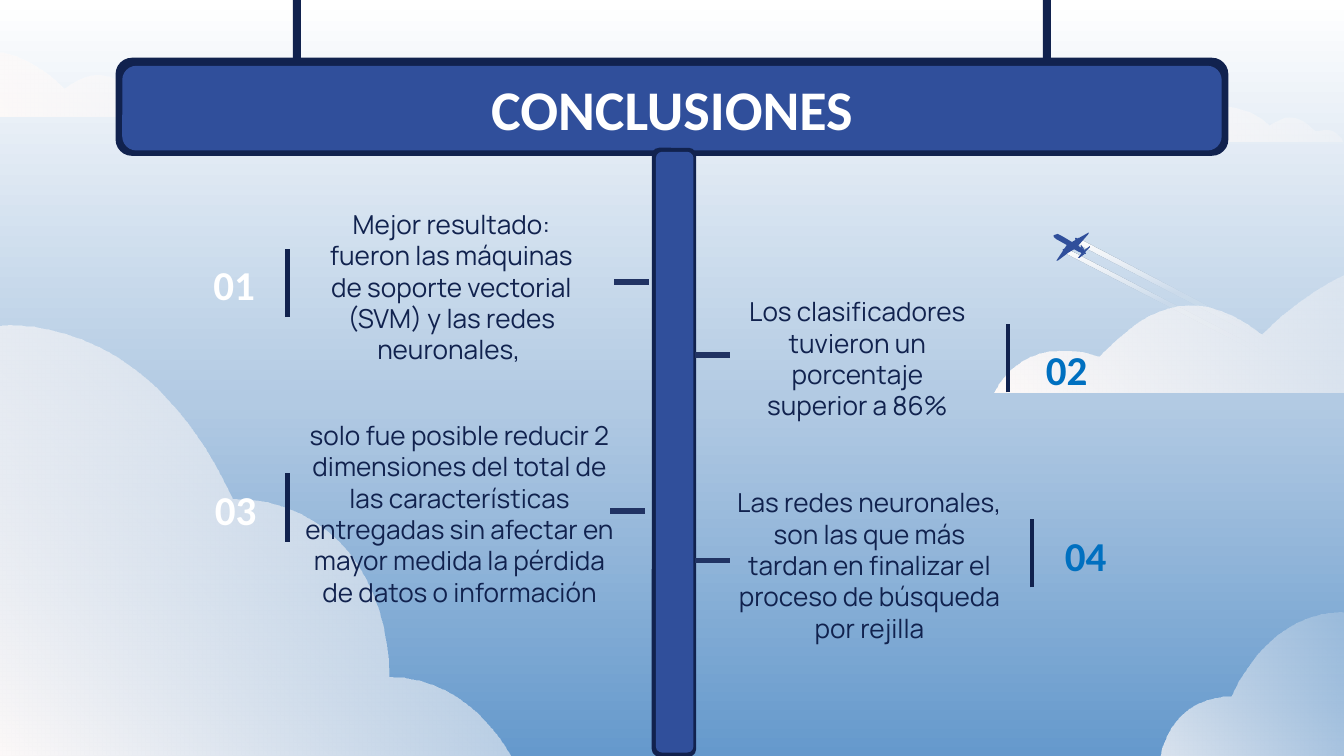
import pptx
import pptx.util
import pptx.dml.color
import pptx.enum.shapes
import pptx.enum.text
import pptx.oxml
import pptx.oxml.ns
import lxml.etree

PX = 9144
RGB = pptx.dml.color.RGBColor
NAVY = RGB(0x11, 0x22, 0x4E)
BLUE = RGB(0x30, 0x4F, 0x9B)
TICK = RGB(0x21, 0x33, 0x63)
SKY = RGB(0x00, 0x70, 0xC0)
SKY_LOW = RGB(0x65, 0x99, 0xCC)
SKY_MIDDLE = RGB(0xB2, 0xCA, 0xE3)
WHITE = RGB(0xFF, 0xFF, 0xFF)
MIST = RGB(0xFE, 0xFA, 0xF9)

SHAPE = pptx.enum.shapes.MSO_SHAPE
ALIGN = pptx.enum.text.PP_ALIGN
ANCHOR = pptx.enum.text.MSO_ANCHOR

SKY_STOPS = [(0, SKY_LOW, 100), (47, SKY_MIDDLE, 100), (100, WHITE, 100)]
CLOUD_STOPS = [(0, MIST, 19), (100, MIST, 100)]
TRAIL_STOPS = [(0, WHITE, 100), (50, MIST, 10), (100, MIST, 0)]

CLOUDS = [
    [(-1, 243), (-1, 243, 106, 226, 173, 371), (248, 371, 289, 433, 289, 503),
     (354, 503, 383, 568, 383, 568), (-1, 568)],
    [(1000, 456), (1000, 456, 949, 448, 916, 518), (880, 518, 861, 547, 861, 581),
     (829, 581, 815, 612, 815, 612), (1000, 612)],
    [(-16, 39), (-16, 39, 13, 31, 48, 66), (75, 46, 91, 59, 106, 74),
     (134, 65, 142, 87, 142, 87), (-16, 87)],
    [(908, 79), (894, 79, 880, 84, 871, 93), (865, 89, 860, 87, 856, 87),
     (849, 87, 843, 92, 837, 97), (835, 97, 832, 96, 830, 96),
     (819, 96, 816, 105, 816, 105), (999, 105), (999, 105, 996, 96, 985, 96),
     (983, 96, 981, 97, 978, 97), (973, 92, 967, 87, 959, 87),
     (955, 87, 950, 89, 944, 93), (935, 84, 922, 79, 908, 79)],
    [(1075, 192), (1075, 192, 1013, 175, 939, 249), (883, 206, 848, 235, 818, 265),
     (758, 246, 740, 292, 740, 292), (1075, 292)],
]
TRAILS = [
    [(946, 256), (948, 253), (804, 178), (801, 181)],
    [(939, 264), (940, 261), (795, 186), (793, 189)],
]
PLANE = [
    [(787, 174), (787, 174, 787, 174, 787, 174), (788, 174, 788, 174, 789, 175),
     (791, 176, 799, 181, 801, 182), (803, 183, 805, 185, 807, 186), (808, 189),
     (806, 189, 802, 187, 802, 187), (802, 187, 788, 179, 786, 178),
     (783, 176, 784, 175, 784, 175), (785, 175, 786, 174, 787, 174)],
    [(794, 182), (800, 185), (795, 188), (787, 194), (786, 194)],
    [(792, 185), (792, 185, 792, 185, 792, 185), (792, 185, 793, 185, 793, 186),
     (793, 187, 792, 187, 792, 187), (791, 187, 791, 187, 791, 187),
     (790, 186, 791, 185, 792, 185)],
    [(805, 188), (807, 189), (803, 192), (802, 192)],
    [(810, 173), (810, 174), (803, 182), (801, 185), (796, 181)],
    [(801, 177), (802, 177, 802, 177, 803, 178), (803, 179, 802, 179, 801, 179),
     (801, 179, 801, 179, 801, 179), (800, 179, 800, 178, 800, 177),
     (800, 177, 801, 177, 801, 177)],
    [(811, 183), (811, 184), (807, 188), (807, 186)],
    [(805, 182), (805, 183), (807, 186), (804, 184)],
    [(792, 185), (794, 186), (792, 186)],
    [(802, 177), (803, 177), (802, 178)],
]

BANNER = [((86, 43, 828, 73), NAVY), ((91, 49, 818, 63), BLUE),
          ((776, -27, 6, 73), NAVY), ((218, -27, 6, 73), NAVY)]
POLE = [((485, 110, 33, 453), NAVY), ((488, 113, 28, 447), BLUE)]

CONCLUSIONS = [
    ("Mejor resultado: fueron las máquinas de soporte vectorial (SVM) y las redes neuronales, ",
     (225, 145, 222, 118)),
    ("Los clasificadores tuvieron un porcentaje superior a 86%", (546, 210, 184, 118)),
    ("solo fue posible reducir 2 dimensiones del total de las características entregadas "
     "sin afectar en mayor medida la pérdida de datos o información", (212, 302, 260, 118)),
    ("Las redes neuronales, son las que más tardan en finalizar el proceso de búsqueda por rejilla",
     (536, 352, 222, 118)),
]
NUMBERS = [("01", 149, 184), ("02", 755, 248), ("03", 150, 352), ("04", 769, 386)]
DIVIDERS = [(214, 185), (750, 241), (214, 352), (768, 386)]
TICKS = [(457, 210), (517, 264), (454, 380), (517, 417)]


def px(*lengths):
    return [pptx.util.Emu(round(length * PX)) for length in lengths]


def paint_gradient(fill, element, stops, angle):
    fill.gradient()
    gradient = element.find(".//" + pptx.oxml.ns.qn("a:gradFill"))
    stop_list = gradient.find(pptx.oxml.ns.qn("a:gsLst"))
    for old in list(stop_list):
        stop_list.remove(old)
    for position, color, opacity in stops:
        stop_list.append(pptx.oxml.parse_xml(
            f'<a:gs {pptx.oxml.ns.nsdecls("a")} pos="{position * 1000}">'
            f'<a:srgbClr val="{color}"><a:alpha val="{opacity * 1000}"/></a:srgbClr></a:gs>'))
    gradient.find(pptx.oxml.ns.qn("a:lin")).set("ang", str(angle * 60000))


def pairs(part):
    return list(zip(part[::2], part[1::2]))


def add_outline(shapes, outline):
    start, *others = [px(*point) for part in outline for point in pairs(part)]
    builder = shapes.build_freeform(*start)
    builder.add_line_segments(others, close=True)
    shape = builder.convert_to_shape()
    segments = iter(shape._element.findall(".//" + pptx.oxml.ns.qn("a:lnTo")))
    for part in outline[1:]:
        segment = next(segments)
        if len(part) == 6:
            curve = lxml.etree.Element(pptx.oxml.ns.qn("a:cubicBezTo"))
            segment.addprevious(curve)
            for corner in (segment, next(segments), next(segments)):
                curve.append(corner[0])
                corner.getparent().remove(corner)
    shape.shadow.inherit = False
    shape.line.fill.background()
    return shape


def add_panels(page, panels):
    group = page.shapes.add_group_shape()
    for frame, color in panels:
        shape = group.shapes.add_shape(SHAPE.ROUNDED_RECTANGLE, *px(*frame))
        shape.shadow.inherit = False
        shape.fill.solid()
        shape.fill.fore_color.rgb = color
        shape.line.fill.background()


def add_hazy(shapes, outlines, stops, angle):
    for outline in outlines:
        shape = add_outline(shapes, outline)
        paint_gradient(shape.fill, shape._element, stops, angle)


def add_plane(page):
    group = page.shapes.add_group_shape()
    add_hazy(group.shapes, TRAILS, TRAIL_STOPS, 90)
    for outline in PLANE:
        shape = add_outline(group.shapes, outline)
        shape.fill.solid()
        shape.fill.fore_color.rgb = BLUE


def add_line(page, start, end, color, width):
    line = page.shapes.add_connector(pptx.enum.shapes.MSO_CONNECTOR.STRAIGHT, *px(*start, *end))
    line.line.color.rgb = color
    line.line.width = pptx.util.Pt(width)
    lxml.etree.SubElement(line._element.spPr, pptx.oxml.ns.qn("a:effectLst"))


def write(box, words, font, size, color, bold, align, anchor):
    frame = box.text_frame
    frame.word_wrap = True
    frame.auto_size = pptx.enum.text.MSO_AUTO_SIZE.NONE
    frame.vertical_anchor = anchor
    frame.margin_left, frame.margin_top, frame.margin_right, frame.margin_bottom = px(10, 10, 10, 10)
    para = frame.paragraphs[0]
    para.alignment = align
    para.space_before = pptx.util.Pt(0)
    span = para.add_run()
    span.text = words
    span.font.name = font
    span.font.size = pptx.util.Pt(size)
    span.font.bold = bold
    span.font.color.rgb = color
    return para


def place(holder, frame):
    holder.left, holder.top, holder.width, holder.height = px(*frame)
    holder._element.getparent().append(holder._element)


def add_conclusion(holder, words, frame):
    place(holder, frame)
    para = write(holder, words, "Manrope", 14, NAVY, False, ALIGN.CENTER, ANCHOR.TOP)
    properties = para._p.get_or_add_pPr()
    properties.set("marL", "0")
    properties.set("indent", "0")
    lxml.etree.SubElement(properties, pptx.oxml.ns.qn("a:buNone"))


def add_number(page, words, left, top, color, align):
    box = page.shapes.add_textbox(*px(left, top, 64, 54))
    write(box, words, "Calibri", 22, color, True, align, ANCHOR.MIDDLE)


def main():
    deck = pptx.Presentation()
    deck.slide_width, deck.slide_height = px(1000, 562.5)
    page = deck.slides.add_slide(deck.slide_layouts[4])
    title, *bodies = list(page.placeholders)
    paint_gradient(page.background.fill, page._element, SKY_STOPS, 270)
    add_hazy(page.shapes, CLOUDS, CLOUD_STOPS, 135)
    add_panels(page, BANNER)
    add_plane(page)

    place(title, (59, 49, 882, 63))
    write(title, "CONCLUSIONES", "Calibri", 30, WHITE, True, ALIGN.CENTER, ANCHOR.MIDDLE)
    add_panels(page, POLE)
    for holder, (words, frame) in zip(bodies, CONCLUSIONS):
        add_conclusion(holder, words, frame)
    for index, (words, left, top) in enumerate(NUMBERS):
        color, align = ((WHITE, ALIGN.LEFT), (SKY, ALIGN.RIGHT))[index % 2]
        add_number(page, words, left, top, color, align)
    for left, top in DIVIDERS:
        add_line(page, (left, top + 51), (left, top), NAVY, 2.25)
    for left, top in TICKS:
        add_line(page, (left, top), (left + 26, top), TICK, 3)
    deck.save("out.pptx")


if __name__ == "__main__":
    main()
